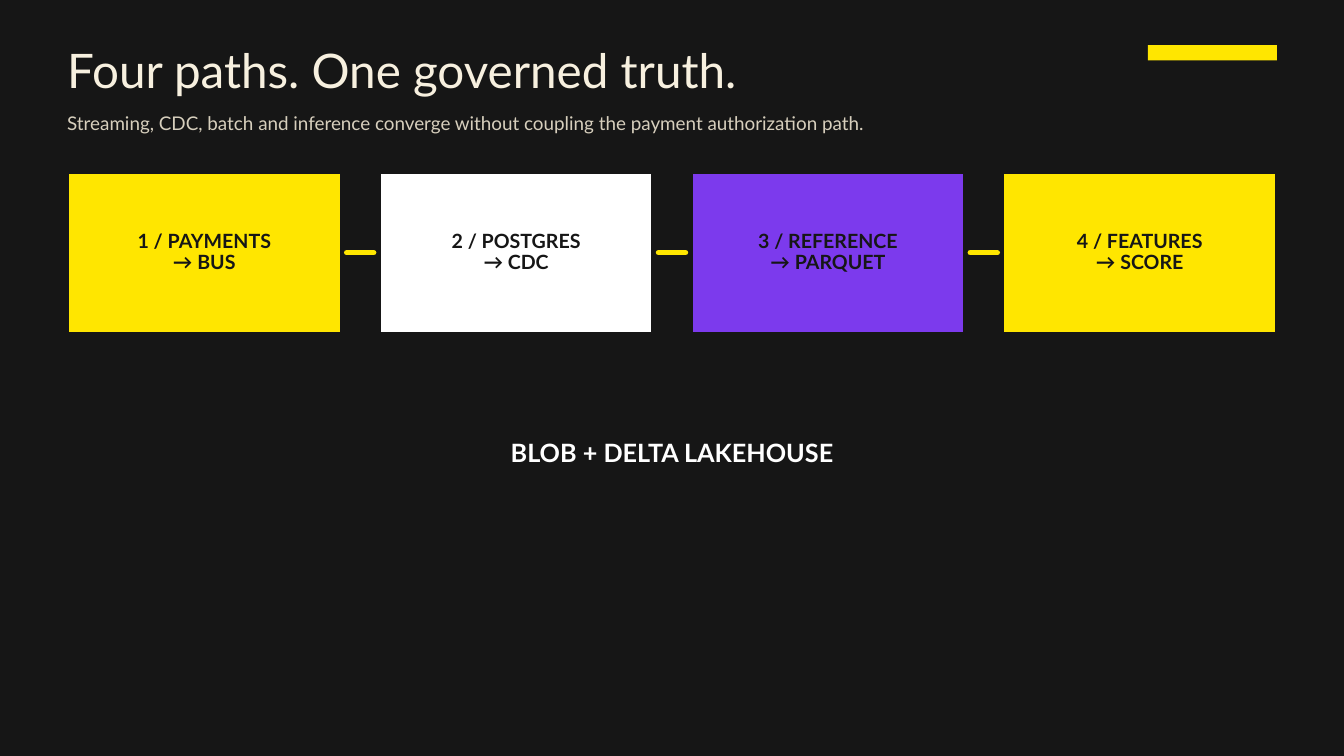
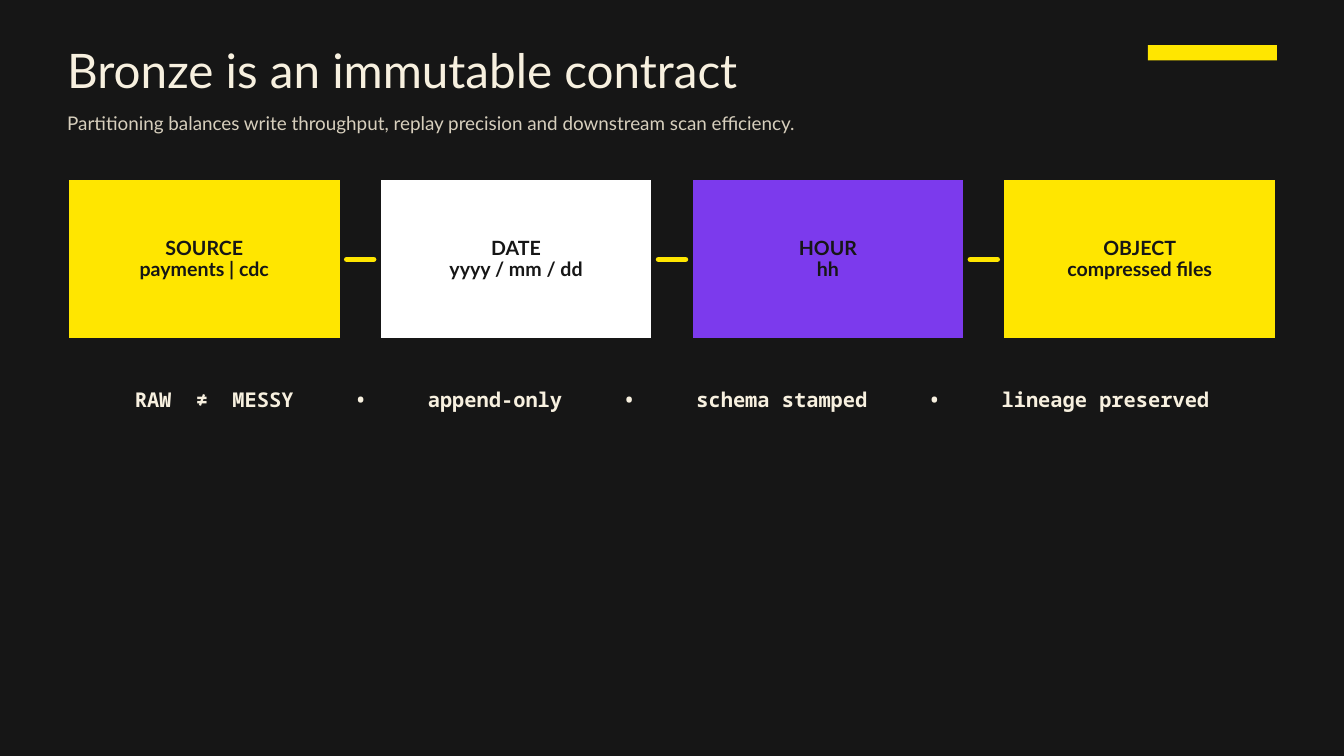
from itertools import accumulate

from lxml.etree import SubElement
from pptx import Presentation
from pptx.dml.color import RGBColor
from pptx.enum.shapes import MSO_CONNECTOR, MSO_SHAPE
from pptx.enum.text import MSO_ANCHOR, MSO_AUTO_SIZE, PP_ALIGN
from pptx.oxml.ns import qn
from pptx.util import Inches, Pt

INK = RGBColor(0x16, 0x16, 0x16)
CREAM = RGBColor(0xF7, 0xF0, 0xDF)
SAND = RGBColor(0xD7, 0xCF, 0xBD)
YELLOW = RGBColor(0xFF, 0xE6, 0x00)
WHITE = RGBColor(0xFF, 0xFF, 0xFF)
PURPLE = RGBColor(0x7C, 0x3A, 0xED)
CARD_FILLS = (YELLOW, WHITE, PURPLE, YELLOW)

PATHS = {
    "title": "Four paths. One governed truth.",
    "subtitle": "Streaming, CDC, batch and inference converge without coupling "
                "the payment authorization path.",
    "cards_top": 2.56,
    "cards": (("1 / PAYMENTS", "→ BUS"), ("2 / POSTGRES", "→ CDC"),
              ("3 / REFERENCE", "→ PARQUET"), ("4 / FEATURES", "→ SCORE")),
}
LAKEHOUSE = "BLOB + DELTA LAKEHOUSE"

BRONZE = {
    "title": "Bronze is an immutable contract",
    "subtitle": "Partitioning balances write throughput, replay precision and "
                "downstream scan efficiency.",
    "cards_top": 2.66,
    "cards": (("SOURCE", "payments | cdc"), ("DATE", "yyyy / mm / dd"),
              ("HOUR", "hh"), ("OBJECT", "compressed files")),
}
# Each part of the principles line, with its gap before in characters
PRINCIPLES = (("RAW", 0), ("≠", 2), ("MESSY", 2), ("•", 5), ("append-only", 5),
              ("•", 5), ("schema stamped", 5), ("•", 5), ("lineage preserved", 5))

SLIDE_WIDTH, SLIDE_HEIGHT = 20, 11.25
MARGIN = 1
CONTENT_WIDTH = SLIDE_WIDTH - 2 * MARGIN
CARD_GAP, CARD_HEIGHT = 0.56, 2.4
CARD_WIDTH = (CONTENT_WIDTH - 3 * CARD_GAP) / 4
LINK_INSET = 0.08
BAR_WIDTH, BAR_HEIGHT = 1.92, 0.23
MONO_SIZE = 21.8
MONO_ADVANCE = 0.6 * MONO_SIZE / 72


def write(shape, *lines, size, color, spacing, font="Lato", bold=False,
          align=PP_ALIGN.LEFT, anchor=MSO_ANCHOR.TOP, inset=0, tabs=()):
    """Fill a shape with one paragraph per line; tabs are in inches."""
    frame = shape.text_frame
    frame.word_wrap = True
    frame.auto_size = MSO_AUTO_SIZE.NONE
    frame.vertical_anchor = anchor
    frame.margin_left = frame.margin_right = Inches(inset)
    frame.margin_top = frame.margin_bottom = Inches(inset)
    for index, line in enumerate(lines):
        paragraph = frame.add_paragraph() if index else frame.paragraphs[0]
        paragraph.alignment = align
        paragraph.line_spacing = Pt(spacing)
        if tabs:
            tab_list = SubElement(paragraph._p.get_or_add_pPr(), qn("a:tabLst"))
            for tab in tabs:
                SubElement(tab_list, qn("a:tab"), pos=str(Inches(tab)), algn="l")
        run = paragraph.add_run()
        run.text = line
        run.font.name, run.font.size, run.font.bold = font, Pt(size), bold
        run.font.color.rgb = color


def add_text(slide, box, *lines, **style):
    write(slide.shapes.add_textbox(*map(Inches, box)), *lines, **style)


def add_rectangle(slide, box, fill, outline=None):
    shape = slide.shapes.add_shape(MSO_SHAPE.RECTANGLE, *map(Inches, box))
    shape.shadow.inherit = False
    shape.fill.solid()
    shape.fill.fore_color.rgb = fill
    if outline is None:
        shape.line.fill.background()
    else:
        shape.line.color.rgb = outline
        shape.line.width = Pt(3.75)
    return shape


def add_link(slide, left, right, y):
    """Join two neighbouring cards with a round-ended dash."""
    link = slide.shapes.add_connector(
        MSO_CONNECTOR.STRAIGHT, *map(Inches, (left, y, right, y)))
    link.line.color.rgb = YELLOW
    link.line.width = Pt(6)
    link.line._get_or_add_ln().set("cap", "rnd")
    SubElement(link._element.spPr, qn("a:effectLst"))


def add_cards(slide, cards, top):
    for index, (lines, fill) in enumerate(zip(cards, CARD_FILLS)):
        left = MARGIN + index * (CARD_WIDTH + CARD_GAP)
        card = add_rectangle(slide, (left, top, CARD_WIDTH, CARD_HEIGHT), fill, INK)
        write(card, *lines, size=21, color=INK, spacing=22.1, bold=True,
              align=PP_ALIGN.CENTER, anchor=MSO_ANCHOR.MIDDLE, inset=0.06)
        if index < len(cards) - 1:
            start = left + CARD_WIDTH + LINK_INSET
            add_link(slide, start, start + CARD_GAP - 2 * LINK_INSET,
                     top + CARD_HEIGHT / 2)


def add_flow_slide(presentation, content):
    slide = presentation.slides.add_slide(presentation.slide_layouts[5])
    title = slide.shapes.title
    title.left, title.top = Inches(MARGIN), Inches(0.74)
    title.width, title.height = Inches(15.62), Inches(0.77)
    write(title, content["title"], size=51, color=CREAM, spacing=52)
    add_text(slide, (MARGIN, 1.64, 15.62, 0.4), content["subtitle"],
             size=20.2, color=SAND, spacing=26.3)
    add_rectangle(slide, (SLIDE_WIDTH - MARGIN - BAR_WIDTH, 0.67, BAR_WIDTH, BAR_HEIGHT),
                  YELLOW)
    add_cards(slide, content["cards"], content["cards_top"])
    return slide


def add_principles(slide):
    """Centre the monospaced line and set each part on its character column."""
    ends = list(accumulate(gap + len(word) for word, gap in PRINCIPLES))
    columns = [end - len(word) for end, (word, _) in zip(ends, PRINCIPLES)]
    width = ends[-1] * MONO_ADVANCE
    left = (SLIDE_WIDTH - width) / 2
    add_text(slide, (left, 5.7, width + MONO_ADVANCE, 0.41),
             "\t".join(word for word, _ in PRINCIPLES),
             size=MONO_SIZE, color=CREAM, spacing=30.4, font="Noto Sans Mono",
             bold=True, tabs=[column * MONO_ADVANCE for column in columns[1:]])


def main():
    presentation = Presentation()
    presentation.slide_width = Inches(SLIDE_WIDTH)
    presentation.slide_height = Inches(SLIDE_HEIGHT)
    background = presentation.slide_master.background.fill
    background.solid()
    background.fore_color.rgb = INK

    paths_slide = add_flow_slide(presentation, PATHS)
    lakehouse_width = 6.46
    add_text(paths_slide, ((SLIDE_WIDTH - lakehouse_width) / 2, 6, lakehouse_width, 1.53),
             LAKEHOUSE, size=27, color=WHITE, spacing=28.4, bold=True,
             align=PP_ALIGN.CENTER, anchor=MSO_ANCHOR.MIDDLE, inset=0.06)

    add_principles(add_flow_slide(presentation, BRONZE))
    presentation.save("out.pptx")


if __name__ == "__main__":
    main()
